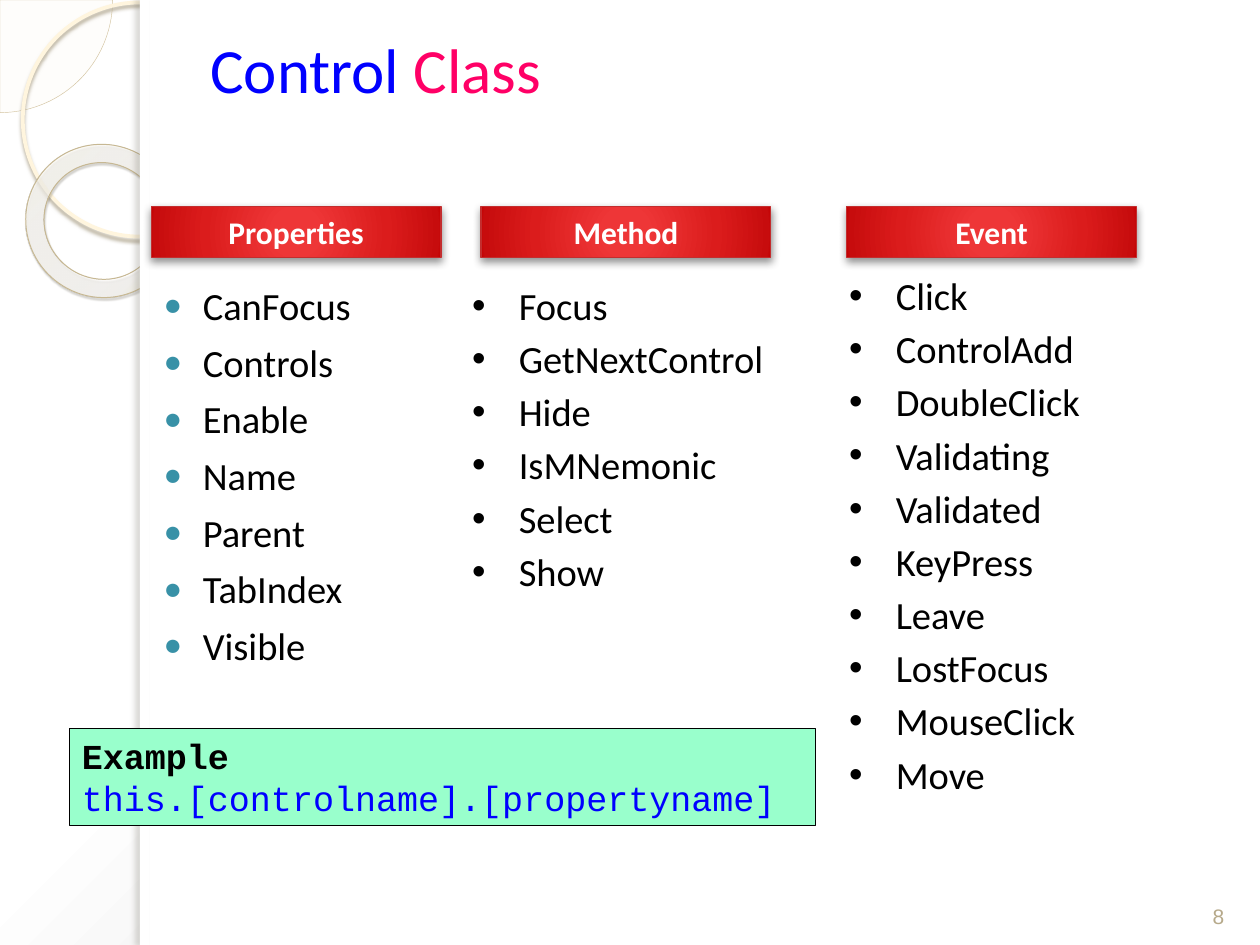
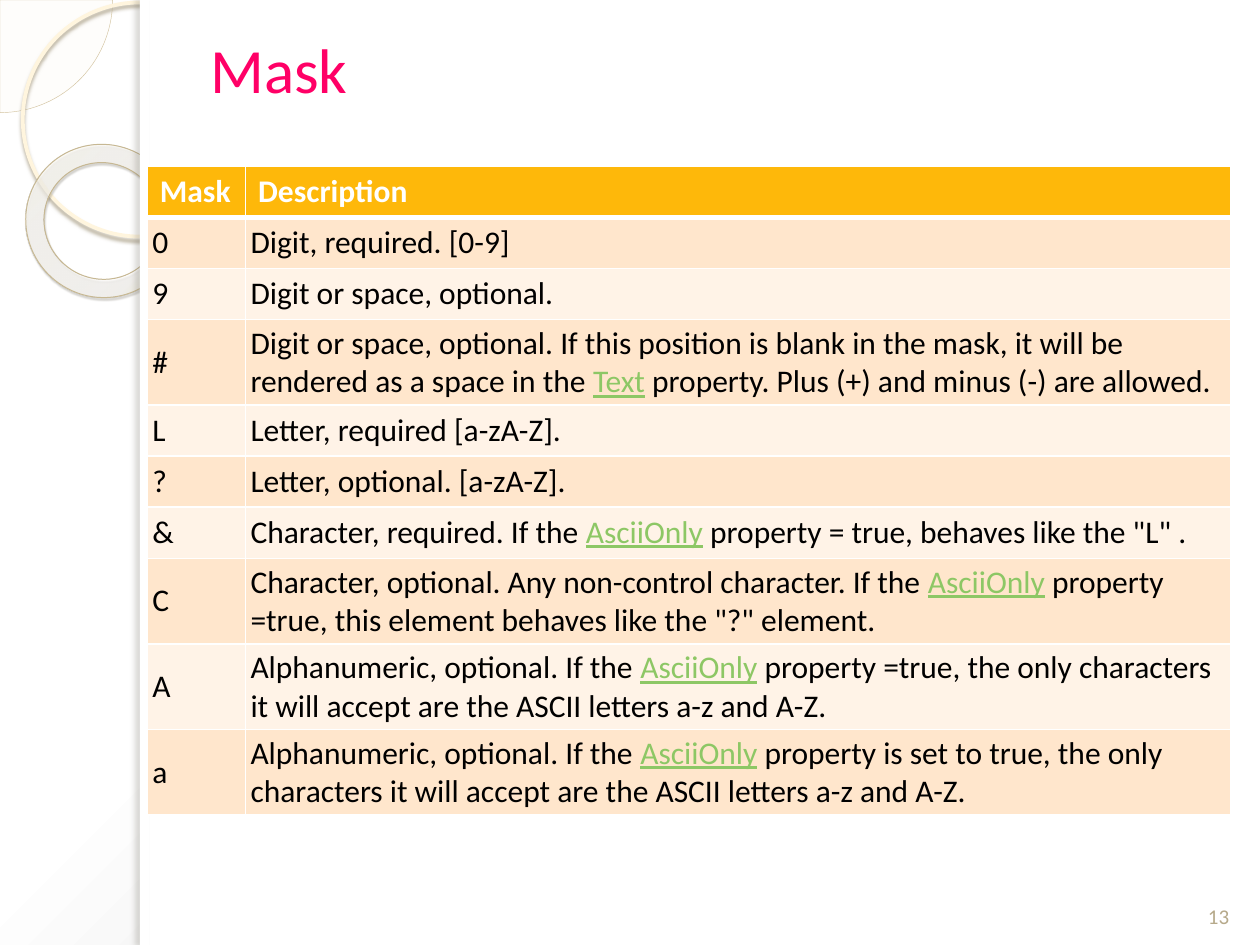
from lxml import etree
from pptx import Presentation
from pptx.dml.color import RGBColor
from pptx.enum.shapes import MSO_SHAPE
from pptx.enum.text import MSO_ANCHOR, PP_ALIGN
from pptx.oxml.ns import qn
from pptx.util import Cm, Pt

PIE, OVAL, RING, RECT = (MSO_SHAPE.PIE, MSO_SHAPE.OVAL, MSO_SHAPE.DONUT,
                         MSO_SHAPE.RECTANGLE)
TOP, MID, LOW = MSO_ANCHOR.TOP, MSO_ANCHOR.MIDDLE, MSO_ANCHOR.BOTTOM
LEFT, MIDST = PP_ALIGN.LEFT, PP_ALIGN.CENTER

WIDE, HIGH = 25.4, 19.05
EDGE = 2.82
WHITE, BLACK, BLUE, PINK = "FFFFFF", "000000", "0000FF", "FF0066"
TEAL, TAN, GREEN = "3891A7", "B6A98A", "8DC765"
GOLD, BANDS = "FEB80A", ("FFE6CC", "FFF3E7")

BACK = ((0, WHITE), (40, WHITE), (100, "C5C5C5"))
GLOW = ((0, "FFFCF6", 70), (70, "FFFEFB", 55), (100, "F0D28E", 60))
REDS = ((0, "EF3737"), (15, "EE3637"), (62, "DB1C1C"), (97, "C70C0D"),
        (100, "C30001"))

HEAD = dict(name="Calibri", size=Pt(36))
BODY = dict(name="Calibri", size=Pt(22))
CELL = dict(name="Calibri", size=Pt(18), bold=False)
BOLD = dict(CELL, bold=True)
CODE = dict(name="Courier New", size=Pt(20), bold=False)
DOT = dict(char="•", left=0.94, hang=0.94, gap=4)
DISC = dict(char="●", left=1.02, hang=0.79, gap=6, color=TEAL, part=80)

PROPS = ["CanFocus", "Controls", "Enable", "Name", "Parent", "TabIndex",
         "Visible"]
CALLS = ["Focus", "GetNextControl", "Hide", "IsMNemonic", "Select", "Show"]
EVENTS = ["Click", "ControlAdd", "DoubleClick", "Validating", "Validated",
          "KeyPress", "Leave", "LostFocus", "MouseClick", "Move"]
LISTS = [
    ("Properties", 3.05, PROPS, (EDGE, 5.56, 6.1, 8.84), DISC),
    ("Method", 9.7, CALLS, (9.27, 5.56, 6.6, 9.09), DOT),
    ("Event", 17.07, EVENTS, (16.87, 5.36, 7.19, 11.28), DOT),
]
MASKS = [
    ("0", "Digit, required. [0-9]"),
    ("9", "Digit or space, optional."),
    ("#", "Digit or space, optional. If this position is blank in the mask, "
          "it will be rendered as a space in the |Text| property. Plus (+) "
          "and minus (-) are allowed."),
    ("L", "Letter, required [a-zA-Z]."),
    ("?", "Letter, optional. [a-zA-Z]."),
    ("&", "Character, required. If the |AsciiOnly| property = true, behaves "
          'like the "L" .'),
    ("C", "Character, optional. Any non-control character. If the |AsciiOnly|"
          ' property =true, this element behaves like the "?" element.'),
    ("A", "Alphanumeric, optional. If the |AsciiOnly| property =true, the "
          "only characters it will accept are the ASCII letters a-z and A-Z."),
    ("a", "Alphanumeric, optional. If the |AsciiOnly| property is set to true,"
          " the only characters it will accept are the ASCII letters a-z and "
          "A-Z."),
]


def paint(code):
    """Turn a hex string into a colour."""
    return RGBColor.from_string(code)


def put(thing, **vals):
    """Set each named value on the thing."""
    for key, val in vals.items():
        setattr(thing, key, val)


def node(top, tag, **vals):
    """Add a drawing element with the given attributes."""
    return etree.SubElement(top, qn("a:" + tag),
                            {key: str(val) for key, val in vals.items()})


def tint(top, code, alpha=100):
    """Add a colour element, see-through if alpha is below 100."""
    color = node(top, "srgbClr", val=code)
    if alpha < 100:
        node(color, "alpha", val=alpha * 1000)


def blend(fill, root, stops, focus):
    """Give a fill a round gradient about the focus."""
    fill.gradient()
    grad = next(root.iter(qn("a:gradFill")))
    for child in list(grad):
        grad.remove(child)
    grad.set("rotWithShape", "1")
    row = node(grad, "gsLst")
    for pos, *color in stops:
        tint(node(row, "gs", pos=pos * 1000), *color)
    sides = {key: val * 1000 for key, val in zip("ltrb", focus)}
    node(node(grad, "path", path="circle"), "fillToRect", **sides)


class Deck:
    """Holds the style and the current slide."""

    def __init__(self):
        """Start an empty deck."""
        self.show = Presentation()
        put(self.show, slide_width=Cm(WIDE), slide_height=Cm(HIGH))
        self.page = None

    def start(self, title, number, font):
        """Add a slide with its backdrop, title and number."""
        self.page = self.show.slides.add_slide(self.show.slide_layouts[6])
        blend(self.page.background.fill, self.page.element, BACK,
              (-24, -20, 124, 120))
        pie = self.shape(PIE, (-2.27, -2.27, 4.54, 4.54), "FEFAF4",
                         ("D3C39F", 0.25), alpha=33)
        pie.adjustments[0], pie.adjustments[1] = 0, 54.02
        self.shape(OVAL, (0.46, 0.05, 4.72, 4.72), None, ("FFF5DE", 2.15),
                   ("B0A68F", 85, 2, 2, 90))
        ring = self.shape(RING, (0.51, 2.92, 3.12, 3.07), GLOW,
                          ("C7B893", 0.58), ("5A5444", 35, 1, 1.2, 75),
                          focus=(-408, -50, 508, 150))
        ring.rotation = 38.6
        ring.adjustments[0] = 0.12
        self.shape(RECT, (EDGE, 0, WIDE - EDGE, HIGH), WHITE)
        self.shape(RECT, (EDGE, 0, 0.2, HIGH), WHITE,
                   shade=("736F63", 25, 3, 3, 180))
        self.text((3.99, 0, 20.83, 2.77), [title], HEAD, anchor=MID)
        self.text((23.93, 17.53, 1.27, 1.32), [[(number, TAN)]],
                  dict(name=font, size=Pt(12)), MIDST, LOW)

    def shape(self, kind, box, fill, line=None, shade=None, alpha=100,
              focus=(50, 50, 50, 50)):
        """Add a preset shape; fill is a hex string, stops or None."""
        item = self.page.shapes.add_shape(kind, *map(Cm, box))
        item.shadow.inherit = False
        if fill is None:
            item.fill.background()
        elif isinstance(fill, str):
            item.fill.solid()
            item.fill.fore_color.rgb = paint(fill)
            if alpha < 100:
                color = next(item.element.iter(qn("a:srgbClr")))
                node(color, "alpha", val=alpha * 1000)
        else:
            blend(item.fill, item.element, fill, focus)
        if line:
            item.line.color.rgb = paint(line[0])
            item.line.width = Pt(line[1])
        else:
            item.line.fill.background()
        if shade:
            code, dim, blur, dist, turn = shade
            effect = next(item.element.iter(qn("a:effectLst")))
            drop = node(effect, "outerShdw", blurRad=Pt(blur), dist=Pt(dist),
                        dir=turn * 60000, algn="ctr", rotWithShape=0)
            tint(drop, code, dim)
        return item

    def words(self, frame, lines, font, align=LEFT, mark=None):
        """Fill a frame; each line is a list of text, colour and format."""
        for num, line in enumerate(lines):
            para = frame.add_paragraph() if num else frame.paragraphs[0]
            para.alignment = align
            for text, color, *more in line:
                run = para.add_run()
                run.text = text
                for vals in (font, *more):
                    put(run.font, **vals)
                run.font.color.rgb = paint(color)
            if mark:
                self.mark(para, **mark)

    def mark(self, para, char, left, hang, gap, color=BLACK, part=100):
        """Give a paragraph a bullet."""
        para.space_before = Pt(gap)
        props = para._p.get_or_add_pPr()
        props.set("marL", str(Cm(left)))
        props.set("indent", str(-Cm(hang)))
        tint(node(props, "buClr"), color)
        node(props, "buSzPct", val=part * 1000)
        node(props, "buFont", typeface="Arial")
        node(props, "buChar", char=char)

    def text(self, box, lines, font, align=LEFT, anchor=TOP, mark=None):
        """Add a text box."""
        frame = self.page.shapes.add_textbox(*map(Cm, box)).text_frame
        put(frame, word_wrap=True, vertical_anchor=anchor)
        self.words(frame, lines, font, align, mark)

    def label(self, name, left):
        """Add a red heading bar."""
        bar = self.shape(RECT, (left, 4.17, 5.84, 1.02), REDS,
                         ("C32D2E", 0.75), (BLACK, 43, 5, 2, 90))
        bar.text_frame.vertical_anchor = MID
        self.words(bar.text_frame, [[(name, WHITE)]], BOLD, MIDST)

    def sample(self, box, lines):
        """Add a code sample on a green ground."""
        frame = self.shape(RECT, box, "99FFCC", (BLACK, 0.75)).text_frame
        put(frame, word_wrap=False, vertical_anchor=TOP)
        self.words(frame, lines, CODE)

    def cell(self, cell, line, font, fill, low=1):
        """Fill and border one table cell."""
        props = cell._tc.get_or_add_tcPr()
        for side, width in zip("LRTB", (1, 1, 1, low)):
            edge = node(props, "ln" + side, w=Pt(width))
            tint(node(edge, "solidFill"), WHITE)
        cell.fill.solid()
        cell.fill.fore_color.rgb = paint(fill)
        self.words(cell.text_frame, [line], font)

    def table(self, box, heads, rows, widths):
        """Add a banded table; text between bars is a link word."""
        grid = self.page.shapes.add_table(len(rows) + 1, len(heads),
                                          *map(Cm, box)).table
        for col, width in zip(grid.columns, widths):
            col.width = Cm(width)
        for col, head in enumerate(heads):
            self.cell(grid.cell(0, col), [(head, WHITE)], BOLD, GOLD, 3)
        slim = dict.fromkeys(("margin_left", "margin_right", "margin_top",
                              "margin_bottom"), Cm(0.1))
        link = dict(underline=True)
        for num, row in enumerate(rows):
            for col, text in enumerate(row):
                cell = grid.cell(num + 1, col)
                line = [(bit, GREEN, link) if odd % 2 else (bit, BLACK)
                        for odd, bit in enumerate(text.split("|"))]
                self.cell(cell, line, CELL, BANDS[num % 2])
                put(cell, vertical_anchor=MID, **slim)


def main():
    """Build both slides and save them."""
    deck = Deck()
    deck.start([("Control", BLUE), (" Class", PINK)], "8", "Arial")
    for name, left, items, box, mark in LISTS:
        deck.label(name, left)
        deck.text(box, [[(item, BLACK)] for item in items], BODY, mark=mark)
    deck.sample((1.4, 14.68, 15.04, 1.96),
                [[("Example", BLACK, dict(bold=True))],
                 [("this.[controlname].[propertyname]", BLUE)]])

    deck.start([("Mask", PINK)], "13", "Calibri")
    deck.table((2.97, 3.35, 21.84, 10.3), ("Mask", "Description"), MASKS,
               (1.98, 19.86))
    deck.show.save("out.pptx")


if __name__ == "__main__":
    main()
